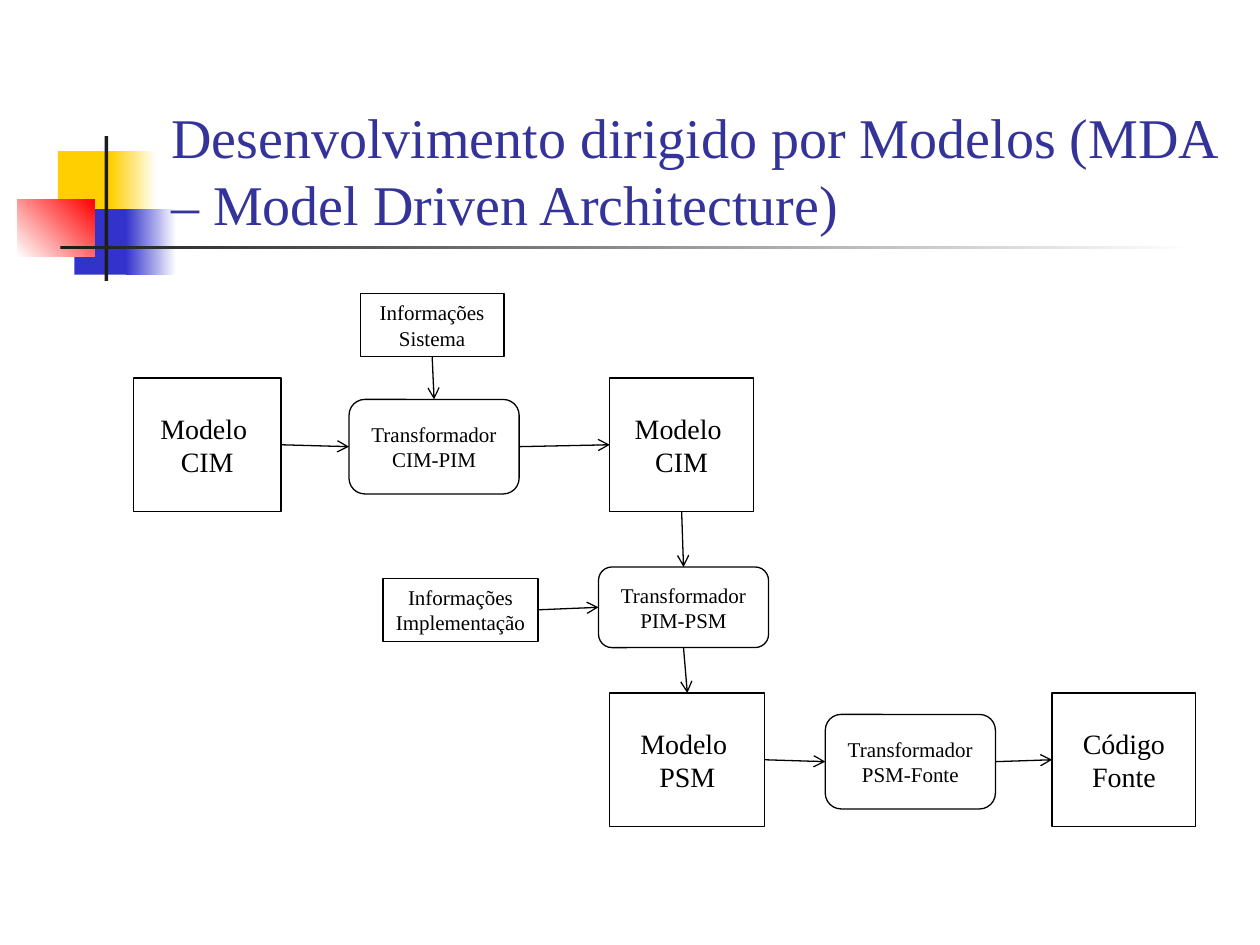
from lxml.etree import SubElement
from pptx import Presentation
from pptx.dml.color import RGBColor
from pptx.enum.shapes import MSO_CONNECTOR, MSO_SHAPE
from pptx.enum.text import MSO_ANCHOR, PP_ALIGN
from pptx.oxml.ns import qn
from pptx.util import Inches, Pt

FONT = "Times New Roman"
TOP, LEFT, BOTTOM, RIGHT = range(4)

DECORATIONS = [
    ((0.46, 1.2, 0.48, 0.52), ["FFCF01"], 0),
    ((0.88, 1.2, 0.36, 0.52), ["FFCF01", "FFFFFF"], 0),
    ((0.59, 1.66, 0.46, 0.52), ["3333CC"], 0),
    ((1, 1.66, 0.4, 0.52), ["3333CC", "FFFFFF"], 0),
    ((0.14, 1.58, 0.61, 0.46), ["FFFFFF", "FF0000"], 45),
    ((0.83, 1.08, 0.03, 1.15), ["1C1C1C"], 0),
    ((0.48, 1.95, 9, 0.03), ["1C1C1C", "FFFFFF"], 0),
]

MODELS = {
    "cim": ((1.06, 3, 1.17, 1.06), ["Modelo ", "CIM"]),
    "pim": ((4.84, 3, 1.14, 1.06), ["Modelo ", "CIM"]),
    "psm": ((4.84, 5.5, 1.23, 1.06), ["Modelo ", "PSM"]),
    "code": ((8.35, 5.5, 1.14, 1.06), ["Código", "Fonte"]),
}
INFORMATION = {
    "system": ((2.86, 2.33, 1.14, 0.5), ["Informações", "Sistema"]),
    "implementation": ((3.04, 4.59, 1.23, 0.5), ["Informações", "Implementação"]),
}
TRANSFORMERS = {
    "cim_pim": ((2.77, 3.17, 1.35, 0.75), ["Transformador", "CIM-PIM"]),
    "pim_psm": ((4.75, 4.5, 1.35, 0.64), ["Transformador", "PIM-PSM"]),
    "psm_code": ((6.55, 5.67, 1.35, 0.75), ["Transformador", "PSM-Fonte"]),
}
NODE_KINDS = [
    (MODELS, MSO_SHAPE.RECTANGLE, 16),
    (INFORMATION, MSO_SHAPE.RECTANGLE, 12),
    (TRANSFORMERS, MSO_SHAPE.ROUNDED_RECTANGLE, 12),
]

ARROWS = [
    ("cim", RIGHT, "cim_pim", LEFT),
    ("system", BOTTOM, "cim_pim", TOP),
    ("cim_pim", RIGHT, "pim", LEFT),
    ("pim", BOTTOM, "pim_psm", TOP),
    ("implementation", RIGHT, "pim_psm", LEFT),
    ("pim_psm", BOTTOM, "psm", TOP),
    ("psm", RIGHT, "psm_code", LEFT),
    ("psm_code", RIGHT, "code", LEFT),
]


def color(value):
    return RGBColor.from_string(value)


def set_attributes(target, values):
    for name, value in values.items():
        setattr(target, name, value)


def write_text(shape, lines, size, text_color, alignment, frame_format):
    frame = shape.text_frame
    set_attributes(frame, frame_format)
    frame.text = "\n".join(lines)
    for paragraph in frame.paragraphs:
        paragraph.alignment = alignment
        font = paragraph.runs[0].font
        set_attributes(font, {"name": FONT, "size": Pt(size)})
        font.color.rgb = color(text_color)


def add_decoration(slide, box, colors, angle):
    shape = slide.shapes.add_shape(MSO_SHAPE.RECTANGLE, *map(Inches, box))
    shape.shadow.inherit = False
    shape.line.fill.background()
    if len(colors) == 1:
        shape.fill.solid()
        shape.fill.fore_color.rgb = color(colors[0])
        return
    shape.fill.gradient()
    shape.fill.gradient_angle = angle
    for stop, value in zip(shape.fill.gradient_stops, colors):
        stop.color.rgb = color(value)


def add_title(slide, text):
    title = slide.shapes.add_textbox(*map(Inches, (1.26, 0.68, 8.52, 1.25)))
    frame_format = {"word_wrap": True, "vertical_anchor": MSO_ANCHOR.BOTTOM}
    write_text(title, [text], 32, "333399", PP_ALIGN.LEFT, frame_format)


def add_node(slide, geometry, box, lines, size):
    shape = slide.shapes.add_shape(geometry, *map(Inches, box))
    shape.shadow.inherit = False
    shape.fill.solid()
    shape.fill.fore_color.rgb = color("FFFFFF")
    shape.line.color.rgb = color("000000")
    shape.line.width = Pt(0.75)
    frame_format = {"word_wrap": False, "vertical_anchor": MSO_ANCHOR.MIDDLE}
    write_text(shape, lines, size, "000000", PP_ALIGN.CENTER, frame_format)
    return shape


def add_arrow(slide, source, source_side, target, target_side):
    arrow = slide.shapes.add_connector(MSO_CONNECTOR.STRAIGHT, 0, 0, 0, 0)
    arrow.begin_connect(source, source_side)
    arrow.end_connect(target, target_side)
    arrow.line.color.rgb = color("000000")
    arrow.line.width = Pt(0.75)
    SubElement(arrow.line._get_or_add_ln(), qn("a:tailEnd"), type="arrow")
    SubElement(arrow._element.spPr, qn("a:effectLst"))


def main():
    presentation = Presentation()
    size = {"slide_width": Inches(10), "slide_height": Inches(7.5)}
    set_attributes(presentation, size)
    slide = presentation.slides.add_slide(presentation.slide_layouts[6])

    for decoration in DECORATIONS:
        add_decoration(slide, *decoration)
    add_title(slide, "Desenvolvimento dirigido por Modelos (MDA – Model Driven Architecture)")

    nodes = {}
    for group, geometry, text_size in NODE_KINDS:
        for name, (box, lines) in group.items():
            nodes[name] = add_node(slide, geometry, box, lines, text_size)
    for source, source_side, target, target_side in ARROWS:
        add_arrow(slide, nodes[source], source_side, nodes[target], target_side)

    presentation.save("out.pptx")


if __name__ == "__main__":
    main()
